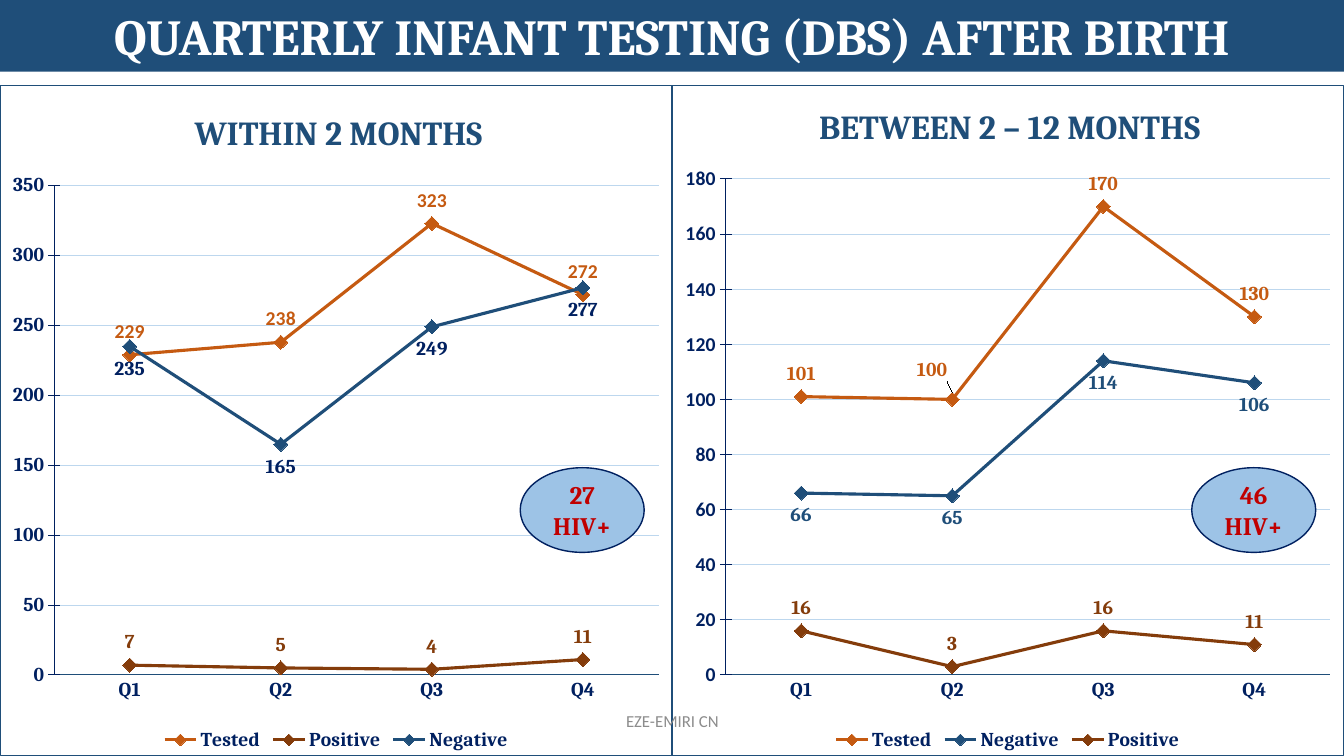
"""Build the slide on quarterly infant testing after birth."""
from lxml import etree
from pptx import Presentation
from pptx.chart.data import CategoryChartData as Data
from pptx.dml.color import RGBColor
from pptx.enum.chart import XL_CHART_TYPE as Kind
from pptx.enum.chart import XL_LABEL_POSITION as Side
from pptx.enum.chart import XL_LEGEND_POSITION as Place
from pptx.enum.chart import XL_MARKER_STYLE as Mark
from pptx.enum.chart import XL_TICK_MARK as Tick
from pptx.enum.shapes import MSO_SHAPE as Shape
from pptx.enum.text import MSO_ANCHOR as Anchor
from pptx.enum.text import PP_ALIGN as Align
from pptx.oxml import parse_xml
from pptx.oxml.ns import qn
from pptx.util import Inches, Pt

BLUE = RGBColor(0x1F, 0x4E, 0x79)
NAVY = RGBColor(0x00, 0x20, 0x60)
PALE = RGBColor(0xBD, 0xD7, 0xEE)
SKY = RGBColor(0x9D, 0xC3, 0xE6)
ORANGE = RGBColor(0xC5, 0x5A, 0x11)
BROWN = RGBColor(0x84, 0x3C, 0x0B)
RED = RGBColor(0xC0, 0x00, 0x00)
GREY = RGBColor(0x8C, 0x8C, 0x8C)
WHITE = RGBColor(0xFF, 0xFF, 0xFF)
BLACK = RGBColor(0x00, 0x00, 0x00)
SPACE = 'xmlns:c="http://schemas.openxmlformats.org/drawingml/2006/chart"'
BORDER = (
    f'<c:spPr {SPACE} xmlns:a="http://schemas.openxmlformats.org/drawingml/2006/main">'
    '<a:solidFill><a:srgbClr val="FFFFFF"/></a:solidFill>'
    f'<a:ln w="9525"><a:solidFill><a:srgbClr val="{BLUE}"/></a:solidFill></a:ln></c:spPr>'
)
LEADER = (
    f'<c:extLst {SPACE}><c:ext uri="{{CE6537A1-D6FC-4f65-9D91-7224C49458BB}}" '
    'xmlns:c15="http://schemas.microsoft.com/office/drawing/2012/chart">'
    '<c15:showLeaderLines val="0"/></c:ext></c:extLst>'
)


def style(font, size, color, face="Cambria", bold=True):
    font.size, font.name, font.bold = Pt(size), face, bold
    font.color.rgb = color


def place(node, index, **parts):
    for old in node.findall(qn("c:layout")):
        node.remove(old)
    layout = etree.Element(qn("c:layout"))
    manual = etree.SubElement(layout, qn("c:manualLayout"))
    for tag, value in parts.items():
        etree.SubElement(manual, qn("c:" + tag), val=str(value))
    node.insert(index, layout)


deck = Presentation()
deck.slide_width, deck.slide_height = Inches(13.33), Inches(7.5)
slide = deck.slides.add_slide(deck.slide_layouts[6])
shapes = slide.shapes

panels = [
    {"title": "WITHIN 2 MONTHS", "left": 0, "top": 350, "step": 50,
     "axis": "Cambria", "spot": (0.28, 0.03), "plot": (0.15, 0.73), "count": "27",
     "rows": [("Tested", (229, 238, 323, 272), ORANGE, ORANGE, "Calibri", Side.ABOVE),
              ("Positive", (7, 5, 4, 11), BROWN, BROWN, "Cambria", Side.ABOVE),
              ("Negative", (235, 165, 249, 277), BLUE, NAVY, "Cambria", Side.BELOW)]},
    {"title": "BETWEEN 2 – 12 MONTHS", "left": 6.66, "top": 180, "step": 20,
     "axis": "Calibri", "spot": (0.21, 0.02), "plot": (0.14, 0.74), "count": "46",
     "rows": [("Tested", (101, 100, 170, 130), ORANGE, ORANGE, "Cambria", Side.ABOVE),
              ("Negative", (66, 65, 114, 106), BLUE, BLUE, "Cambria", Side.BELOW),
              ("Positive", (16, 3, 16, 11), BROWN, BROWN, "Cambria", Side.ABOVE)]},
]
ranks = {"Tested": 0, "Positive": 1, "Negative": 2}

for panel in panels:
    data = Data()
    data.categories = ["Q1", "Q2", "Q3", "Q4"]
    for row in panel["rows"]:
        data.add_series(row[0], row[1])
    chart = shapes.add_chart(
        Kind.LINE_MARKERS, Inches(panel["left"]), Inches(0.84),
        Inches(6.67), Inches(6.66), data).chart
    style(chart.font, 10, BLACK, "Calibri", False)
    space = chart._chartSpace
    space.find(qn("c:chart")).addnext(parse_xml(BORDER))

    title = chart.chart_title
    run = title.text_frame.paragraphs[0].add_run()
    run.text = panel["title"]
    style(run.font, 24, BLUE)
    x, y = panel["spot"]
    place(title._element, 1, xMode="edge", yMode="edge", x=x, y=y)
    y, high = panel["plot"]
    place(space.find(".//" + qn("c:plotArea")), 0, layoutTarget="inner",
          xMode="edge", yMode="edge", x=0.08, y=y, w=0.9, h=high)

    chart.has_legend = True
    chart.legend.position = Place.BOTTOM
    chart.legend.include_in_layout = False
    style(chart.legend.font, 14, NAVY)

    cats, vals = chart.category_axis, chart.value_axis
    cats.major_tick_mark = Tick.NONE
    vals.major_tick_mark = Tick.CROSS
    vals.minimum_scale, vals.maximum_scale = 0, panel["top"]
    vals.major_unit = panel["step"]
    vals.has_major_gridlines = True
    grid = vals.major_gridlines.format.line
    for line, color in ((cats.format.line, BLUE), (vals.format.line, NAVY), (grid, PALE)):
        line.color.rgb, line.width = color, Pt(0.75)
    style(cats.tick_labels.font, 14, NAVY)
    style(vals.tick_labels.font, 14, NAVY, panel["axis"])

    plot = chart.plots[0]
    plot.vary_by_categories = False
    lines = list(plot.series)
    for line, (name, nums, color, ink, face, side) in zip(lines, panel["rows"]):
        line.smooth = False
        line.format.line.color.rgb = color
        line.format.line.width = Pt(2.25)
        mark = line.marker
        mark.style, mark.size = Mark.DIAMOND, 10
        mark.format.fill.solid()
        mark.format.fill.fore_color.rgb = color
        mark.format.line.color.rgb = color
        labels = line.data_labels
        labels.show_value, labels.position = True, side
        style(labels.font, 14, ink, face)
        line._element.find(qn("c:order")).set("val", str(ranks[name]))

shift = lines[0].points[1].data_label
shift.position = Side.ABOVE
style(shift.font, 14, ORANGE)
place(space.find(".//" + qn("c:dLbl")), 1, x=-0.03, y=-0.01)
space.find(".//" + qn("c:dLbls")).append(parse_xml(LEADER))

band = shapes.add_shape(Shape.RECTANGLE, 0, 0, deck.slide_width, Inches(0.71))
band.fill.solid()
band.fill.fore_color.rgb = BLUE
band.line.fill.background()
foot = shapes.add_textbox(Inches(4.42), Inches(6.95), Inches(4.5), Inches(0.4))
texts = [(band, "QUARTERLY INFANT TESTING (DBS) AFTER BIRTH", 36, WHITE, "Cambria", True),
         (foot, "EZE-EMIRI CN", 12, GREY, "Calibri", False)]
for panel in panels:
    oval = shapes.add_shape(
        Shape.OVAL, Inches(panel["left"] + 5.16), Inches(4.64), Inches(1.23), Inches(0.84))
    oval.fill.solid()
    oval.fill.fore_color.rgb = SKY
    oval.line.color.rgb, oval.line.width = NAVY, Pt(1)
    texts.append((oval, panel["count"] + " HIV+", 18, RED, "Cambria", True))

for shape, words, size, color, face, bold in texts:
    shape.shadow.inherit = False
    frame = shape.text_frame
    frame.word_wrap, frame.vertical_anchor = True, Anchor.MIDDLE
    para = frame.paragraphs[0]
    para.alignment = Align.CENTER
    run = para.add_run()
    run.text = words
    style(run.font, size, color, face, bold)

deck.save("out.pptx")
